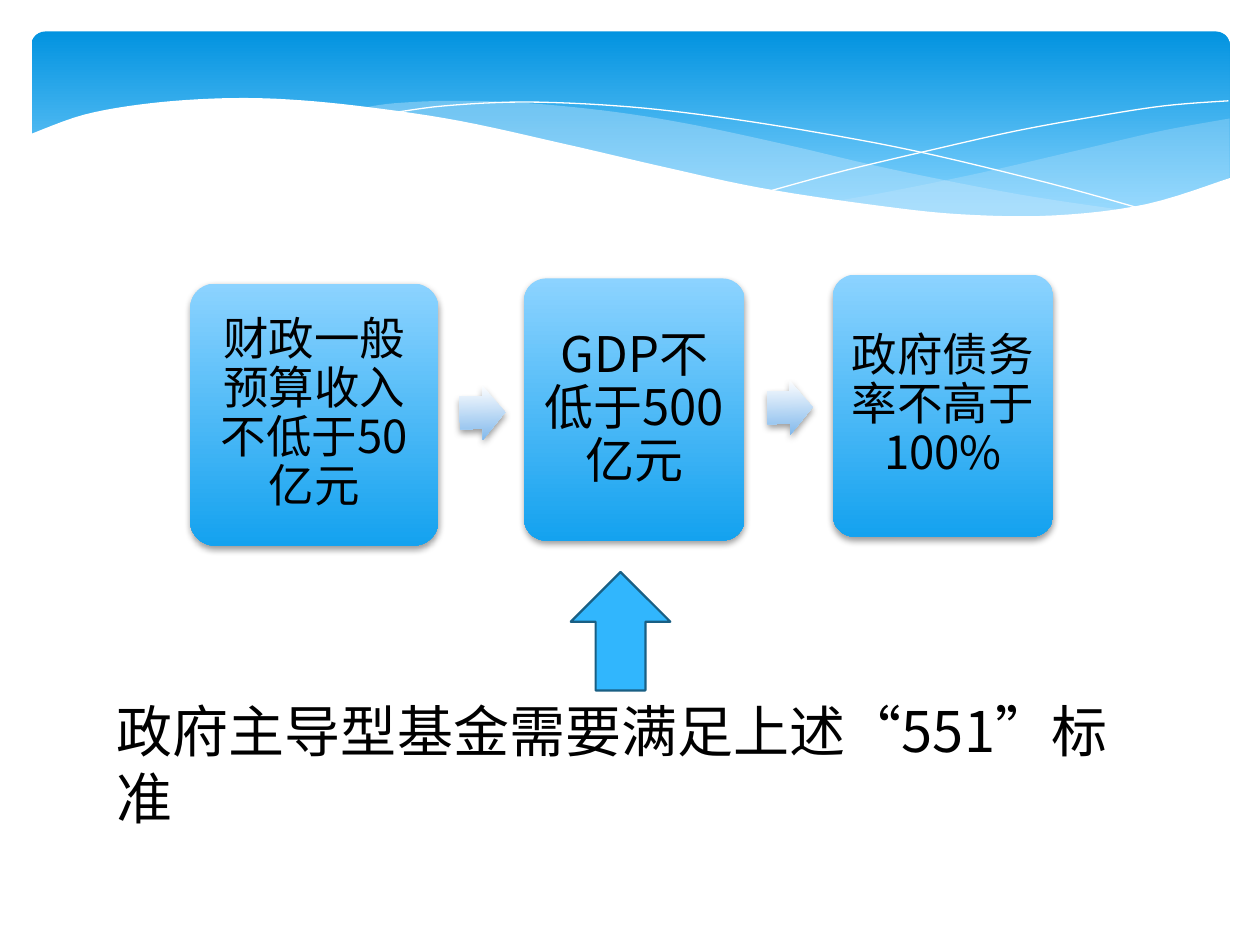
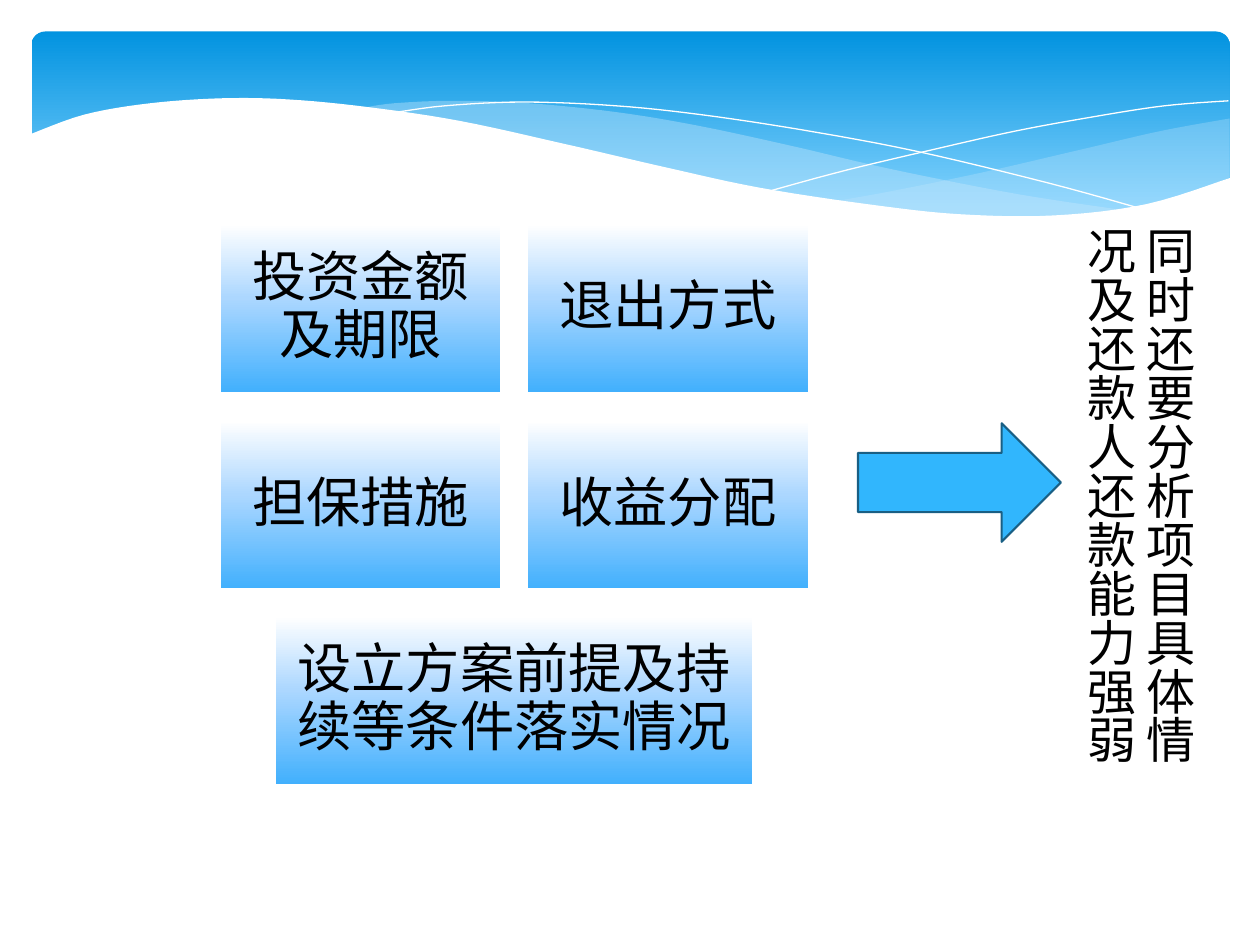
from itertools import product

from lxml.etree import SubElement
from pptx import Presentation
from pptx.dml.color import RGBColor
from pptx.enum.lang import MSO_LANGUAGE_ID
from pptx.enum.shapes import MSO_SHAPE
from pptx.enum.text import MSO_ANCHOR, MSO_AUTO_SIZE, PP_ALIGN
from pptx.oxml.ns import qn
from pptx.util import Inches, Pt

FONT = "Noto Sans CJK SC"
BLACK = RGBColor(0x00, 0x00, 0x00)
WHITE = RGBColor(0xFF, 0xFF, 0xFF)
SKY = RGBColor(0x31, 0xB6, 0xFD)
NAVY = RGBColor(0x19, 0x5F, 0x84)
MIST = RGBColor(0xC6, 0xE7, 0xFC)
BAND_STOPS = [(0, RGBColor(0x02, 0x93, 0xE0)), (90, RGBColor(0x83, 0xD3, 0xFE))]
CARD_STOPS = [(0, RGBColor(0x8C, 0xD3, 0xFF)), (100, RGBColor(0x14, 0xA2, 0xEF))]
STEP_STOPS = [(0, WHITE), (100, RGBColor(0x82, 0xB9, 0xEC))]
TILE_STOPS = [(0, WHITE), (44, RGBColor(0xAC, 0xD7, 0xFF)),
              (100, RGBColor(0x42, 0xB0, 0xFD))]

FAR_WAVE_TOP = [(9.76, 0.94), (9.21, 1.04), (8.61, 1.18), (7.79, 1.37),
                (7.06, 1.52), (6.61, 1.6)]
FAR_WAVE_BOTTOM = [(6.61, 1.6), (7.19, 1.67), (7.81, 1.72), (8.35, 1.72),
                   (8.89, 1.66), (9.35, 1.56), (9.76, 1.41)]
NEAR_WAVE_TOP = [(8.93, 1.67), (8.07, 1.54), (7.06, 1.34), (6.29, 1.16),
                 (5.55, 1.0), (4.89, 0.89), (4.2, 0.82), (3.61, 0.8),
                 (3.13, 0.82), (2.86, 0.86)]
NEAR_WAVE_BOTTOM = [(2.86, 0.86), (3.62, 0.97), (4.49, 1.16), (5.3, 1.35),
                    (6.01, 1.5), (6.8, 1.63), (7.48, 1.7), (8.07, 1.73),
                    (8.57, 1.71), (8.93, 1.67)]
FALLING_LINE = [(3.09, 0.9), (3.53, 0.84), (4.16, 0.81), (4.89, 0.84),
                (5.56, 0.91), (6.36, 1.03), (7.27, 1.2), (8.31, 1.45), (9.07, 1.66)]
RISING_LINE = [(6.13, 1.51), (6.72, 1.35), (7.48, 1.17), (8.06, 1.04),
               (8.66, 0.93), (9.24, 0.84), (9.75, 0.8)]
PAGE_EDGE = [(9.77, 1.41), (9.1, 1.62), (8.37, 1.71), (7.61, 1.7), (6.88, 1.62),
             (6.03, 1.49), (5.29, 1.33), (4.47, 1.14), (3.65, 0.96), (2.92, 0.85),
             (2.3, 0.79), (1.77, 0.78), (1.19, 0.82), (0.67, 0.91), (0.23, 1.07)]
PAGE_CORNERS = [(0.23, 2.24), (9.77, 2.24)]


def smooth_curve(anchors, steps=6):
    padded = [anchors[0], *anchors, anchors[-1]]
    points = [anchors[0]]
    for before, start, end, after in zip(padded, padded[1:], padded[2:], padded[3:]):
        for step in range(1, steps + 1):
            t = step / steps
            points.append(tuple(
                (2 * b + (c - a) * t + (2 * a - 5 * b + 4 * c - d) * t ** 2
                 + (3 * b - a - 3 * c + d) * t ** 3) / 2
                for a, b, c, d in zip(before, start, end, after)))
    return points


def apply(target, values):
    for name, value in values.items():
        setattr(target, name, value)


class Deck:
    def __init__(self):
        self.presentation = Presentation()
        self.presentation.slide_width = Inches(10)
        self.presentation.slide_height = Inches(7.5)
        self.slide = None

    def new_slide(self):
        blank = self.presentation.slide_layouts[6]
        self.slide = self.presentation.slides.add_slide(blank)
        self.waves()

    def waves(self):
        band = self.shape(MSO_SHAPE.ROUNDED_RECTANGLE, (0.25, 0.25, 9.51, 1.56), BAND_STOPS)
        band.adjustments[0] = 0.07
        self.outline(smooth_curve(FAR_WAVE_TOP) + smooth_curve(FAR_WAVE_BOTTOM), MIST, 29)
        self.outline(smooth_curve(NEAR_WAVE_TOP) + smooth_curve(NEAR_WAVE_BOTTOM), MIST, 40)
        for line in (FALLING_LINE, RISING_LINE):
            self.outline(smooth_curve(line))
        self.outline(smooth_curve(PAGE_EDGE) + PAGE_CORNERS, WHITE)

    def outline(self, points, color=None, opacity=100):
        corners = [(Inches(x), Inches(y)) for x, y in points]
        builder = self.slide.shapes.build_freeform(*corners[0])
        builder.add_line_segments(corners[1:], close=color is not None)
        curve = builder.convert_to_shape()
        curve.shadow.inherit = False
        if color is None:
            curve.fill.background()
            curve.line.color.rgb = WHITE
            curve.line.width = Pt(0)
            return
        self.paint(curve, color)
        if opacity < 100:
            tint = curve.element.spPr.find(qn("a:solidFill"))[0]
            SubElement(tint, qn("a:alpha"), val=str(opacity * 1000))

    def paint(self, shape, color):
        shape.fill.solid()
        shape.fill.fore_color.rgb = color
        shape.line.fill.background()

    def shape(self, preset, place, stops, shadow=False):
        shape = self.slide.shapes.add_shape(preset, *map(Inches, place))
        shape.shadow.inherit = False
        shape.line.fill.background()
        shape.fill.gradient()
        shape.fill.gradient_angle = 270
        properties = shape.element.spPr
        stop_list = properties.find(qn("a:gradFill")).find(qn("a:gsLst"))
        for old_stop in list(stop_list):
            stop_list.remove(old_stop)
        for position, color in stops:
            stop = SubElement(stop_list, qn("a:gs"), pos=str(position * 1000))
            SubElement(stop, qn("a:srgbClr"), val=str(color))
        if shadow:
            cast = SubElement(properties.find(qn("a:effectLst")), qn("a:outerShdw"),
                              blurRad=str(Pt(4)), dist=str(Pt(2)), dir="5400000",
                              rotWithShape="0")
            shade = SubElement(cast, qn("a:srgbClr"), val=str(BLACK))
            SubElement(shade, qn("a:alpha"), val="38000")
        return shape

    def block_arrow(self, preset, place):
        arrow = self.slide.shapes.add_shape(preset, *map(Inches, place))
        arrow.shadow.inherit = False
        self.paint(arrow, SKY)
        arrow.line.color.rgb = NAVY
        arrow.line.width = Pt(1.25)

    def step_arrow(self, place):
        arrow = self.shape(MSO_SHAPE.RIGHT_ARROW, place, STEP_STOPS, shadow=True)
        arrow.adjustments[0] = 0.6
        arrow.rotation = 359.1

    def add_text(self, shape, text, size):
        paragraph = shape.text_frame.paragraphs[0]
        run = paragraph.add_run()
        run.text = text
        apply(run.font, {"name": FONT, "size": Pt(size),
                         "language_id": MSO_LANGUAGE_ID.SIMPLIFIED_CHINESE})
        run.font.color.rgb = BLACK
        run_format = next(shape.element.iter(qn("a:rPr")))
        SubElement(run_format, qn("a:ea"), typeface=FONT)
        return paragraph

    def label(self, shape, text, size, inset):
        margin = Inches(inset)
        apply(shape.text_frame, {
            "word_wrap": True, "vertical_anchor": MSO_ANCHOR.MIDDLE,
            "margin_left": margin, "margin_right": margin,
            "margin_top": margin, "margin_bottom": margin})
        apply(self.add_text(shape, text, size),
              {"alignment": PP_ALIGN.CENTER, "line_spacing": 0.9})

    def card(self, place, text, size):
        card = self.shape(MSO_SHAPE.ROUNDED_RECTANGLE, place, CARD_STOPS, shadow=True)
        card.adjustments[0] = 0.1
        self.label(card, text, size, 0.05)

    def tile(self, place, text):
        self.label(self.shape(MSO_SHAPE.RECTANGLE, place, TILE_STOPS), text, 31, 0.13)

    def note(self, place, text, size, vertical=False):
        note = self.slide.shapes.add_textbox(*map(Inches, place))
        apply(note.text_frame, {"word_wrap": True,
                                "auto_size": MSO_AUTO_SIZE.SHAPE_TO_FIT_TEXT})
        if vertical:
            next(note.element.iter(qn("a:bodyPr"))).set("vert", "eaVert")
        self.add_text(note, text, size)


def fund_standard(deck):
    deck.new_slide()
    for left, top, width, text, size in (
            (1.51, 2.25, 1.97, "财政一般预算收入不低于50亿元", 26),
            (4.16, 2.21, 1.75, "GDP不低于500亿元", 28),
            (6.61, 2.18, 1.75, "政府债务率不高于100%", 26)):
        deck.card((left, top, width, 2.08), text, size)
    for left, top in ((3.65, 3.06), (6.09, 3.02)):
        deck.step_arrow((left, top, 0.36, 0.43))
    deck.note((0.83, 5.48, 8.5, 0.64), "政府主导型基金需要满足上述“551”标准", 32)
    deck.block_arrow(MSO_SHAPE.UP_ARROW, (4.53, 4.54, 0.79, 0.94))


def project_review(deck):
    deck.new_slide()
    topics = ("投资金额及期限", "退出方式", "担保措施", "收益分配")
    for (row, column), topic in zip(product(range(2), repeat=2), topics):
        deck.tile((1.75 + 2.44 * column, 1.78 + 1.56 * row, 2.22, 1.33), topic)
    deck.tile((2.19, 4.89, 3.78, 1.33), "设立方案前提及持续等条件落实情况")
    deck.note((8.42, 1.7, 1.14, 4.65), "同时还要分析项目具体情况及还款人还款能力强弱",
              28, vertical=True)
    deck.block_arrow(MSO_SHAPE.RIGHT_ARROW, (6.81, 3.36, 1.61, 0.94))


def main():
    deck = Deck()
    fund_standard(deck)
    project_review(deck)
    deck.presentation.save("out.pptx")


if __name__ == "__main__":
    main()
